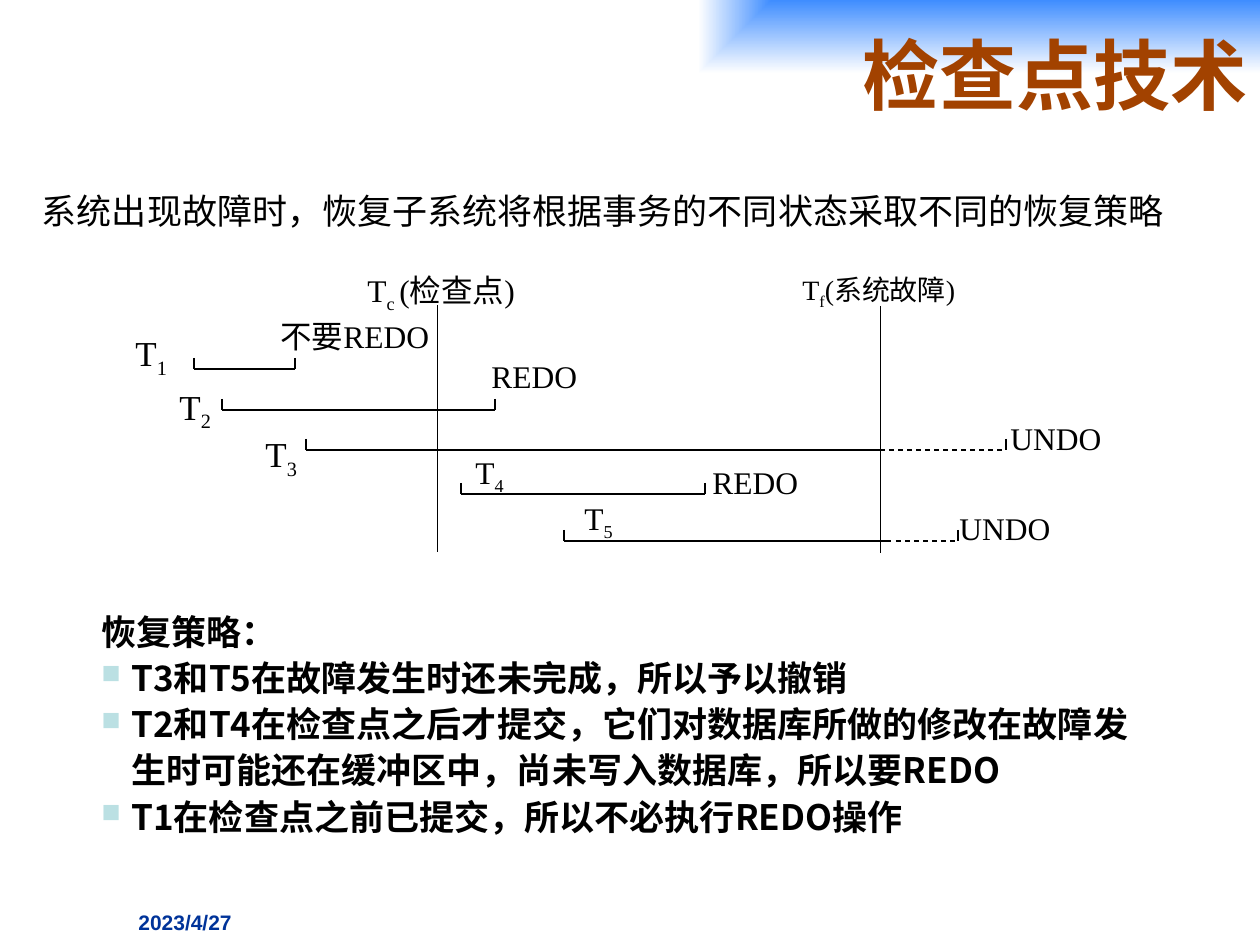
from lxml import etree
from pptx import Presentation
from pptx import util as u
from pptx.dml.color import RGBColor
from pptx.enum import dml, shapes, text
from pptx.oxml import parse_xml
from pptx.oxml.ns import qn

PX = 914400 / 126
COLORS = {"title": "A24200", "black": "000000", "date": "003399",
          "bullet": "BBE0E3", "blue": "3F8DFF", "white": "FFFFFF"}
TIMES, SANS, CJK = "Times New Roman", "Noto Sans CJK JP", "Noto Sans CJK SC"
TICK = 11

presentation = Presentation()
presentation.slide_width, presentation.slide_height = u.Inches(10), u.Inches(7.5)
slide = presentation.slides.add_slide(presentation.slide_layouts[5])


def write(content, box=None, shape=None, size=18, font=TIMES, color="black",
          bold=False, align=text.PP_ALIGN.LEFT, wrap=True, spacing=None):
    """Write lines of text; a part between underscores is a subscript."""
    left, top, width, height = (round(value * PX) for value in box)
    if shape is None:
        shape = slide.shapes.add_textbox(left, top, width, height)
    shape.left, shape.top, shape.width, shape.height = left, top, width, height
    frame = shape.text_frame
    frame.word_wrap = wrap
    frame.auto_size = text.MSO_AUTO_SIZE.NONE
    for index, line in enumerate(content.split("\n")):
        paragraph = frame.add_paragraph() if index else frame.paragraphs[0]
        paragraph.alignment = align
        paragraph.line_spacing = spacing
        for part, piece in enumerate(line.split("_")):
            if not piece:
                continue
            run = paragraph.add_run()
            run.text = piece
            run.font.size, run.font.bold, run.font.name = u.Pt(size), bold, font
            run.font.color.rgb = RGBColor.from_string(COLORS[color])
            properties = run.font._element
            east_asian = etree.SubElement(properties, qn("a:ea"))
            east_asian.set("typeface", CJK if font == TIMES else font)
            if part % 2:
                properties.set("baseline", "-25000")
    return shape


def draw_line(x1, y1, x2, y2, width=0.75, dashed=False):
    line = slide.shapes.add_connector(
        shapes.MSO_CONNECTOR.STRAIGHT, *(round(value * PX) for value in (x1, y1, x2, y2)))
    line.line.color.rgb = RGBColor.from_string(COLORS["black"])
    line.line.width = u.Pt(width)
    if dashed:
        line.line.dash_style = dml.MSO_LINE.DASH
    etree.SubElement(line._element.spPr, qn("a:effectLst"))


# Title on a gradient that spreads from the top right corner
title = write("检查点技术", box=(136, 0, 1124, 147), shape=slide.shapes.title, size=44,
              font=CJK, color="title", bold=True, align=text.PP_ALIGN.RIGHT)
title.text_frame.vertical_anchor = text.MSO_ANCHOR.MIDDLE
title._element.spPr.append(parse_xml(
    '<a:gradFill xmlns:a="http://schemas.openxmlformats.org/drawingml/2006/main" rotWithShape="0">'
    f'<a:gsLst><a:gs pos="0"><a:srgbClr val="{COLORS["blue"]}"/></a:gs>'
    f'<a:gs pos="100000"><a:srgbClr val="{COLORS["white"]}"/></a:gs></a:gsLst>'
    '<a:path path="rect"><a:fillToRect l="100000" b="100000"/></a:path></a:gradFill>'))

# Checkpoint and failure moments
for x, top in ((437, 305), (880, 306)):
    draw_line(x, top, x, top + 247, width=0.5)

# Transactions: start, end of solid part, baseline, dashed part after the failure
transactions = [
    (194, 295, 369, None),
    (222, 495, 410, None),
    (306, 880, 450, (880, 1006)),
    (461, 705, 494, None),
    (564, 891, 541, (896, 958)),
]
for start, end, y, dashed in transactions:
    draw_line(start, y, end, y)
    if dashed:
        draw_line(dashed[0], y, dashed[1], y, dashed=True)
    for x in (start, dashed[1] if dashed else end):
        draw_line(x, y - TICK, x, y)

# Diagram labels: text, left, top, size
labels = [
    ("T_c _(检查点)", 355, 265, 18),
    ("T_f_(系统故障)", 790, 266, 16),
    ("不要REDO", 268, 311, 18),
    ("T_1_", 123, 325, 20),
    ("T_2_", 167, 379, 20),
    ("T_3_", 253, 426, 20),
    ("T_4_", 463, 447, 18),
    ("T_5_", 572, 493, 18),
    ("REDO", 479, 351, 18),
    ("REDO", 700, 457, 18),
    ("UNDO", 998, 413, 18),
    ("UNDO", 947, 503, 18),
]
for label, left, top, size in labels:
    write(label, box=(left, top, 197, 45), size=size)

# Introduction, strategy and date
write("系统出现故障时，恢复子系统将根据事务的不同状态采取不同的恢复策略",
      box=(25, 183, 1156, 55), size=20, font=SANS, align=text.PP_ALIGN.CENTER, wrap=False)
strategy = write(
    "恢复策略：\n"
    "T3和T5在故障发生时还未完成，所以予以撤销\n"
    "T2和T4在检查点之后才提交，它们对数据库所做的修改在故障发生时可能还在缓冲区中，尚未写入数据库，所以要REDO\n"
    "T1在检查点之前已提交，所以不必执行REDO操作",
    box=(89, 600, 1061, 244), size=20, font=SANS, bold=True, spacing=1.1)
for paragraph in strategy.text_frame.paragraphs[1:]:
    properties = paragraph._p.get_or_add_pPr()
    properties.set("marL", str(round(30 * PX)))
    properties.set("indent", str(round(-30 * PX)))
    bullet_color = etree.SubElement(properties, qn("a:buClr"))
    etree.SubElement(bullet_color, qn("a:srgbClr")).set("val", COLORS["bullet"])
    etree.SubElement(properties, qn("a:buSzPct")).set("val", "75000")
    etree.SubElement(properties, qn("a:buChar")).set("char", "■")
write("2023/4/27", box=(126, 903, 220, 42), size=12, font="Arial", color="date", bold=True)

presentation.save("out.pptx")
